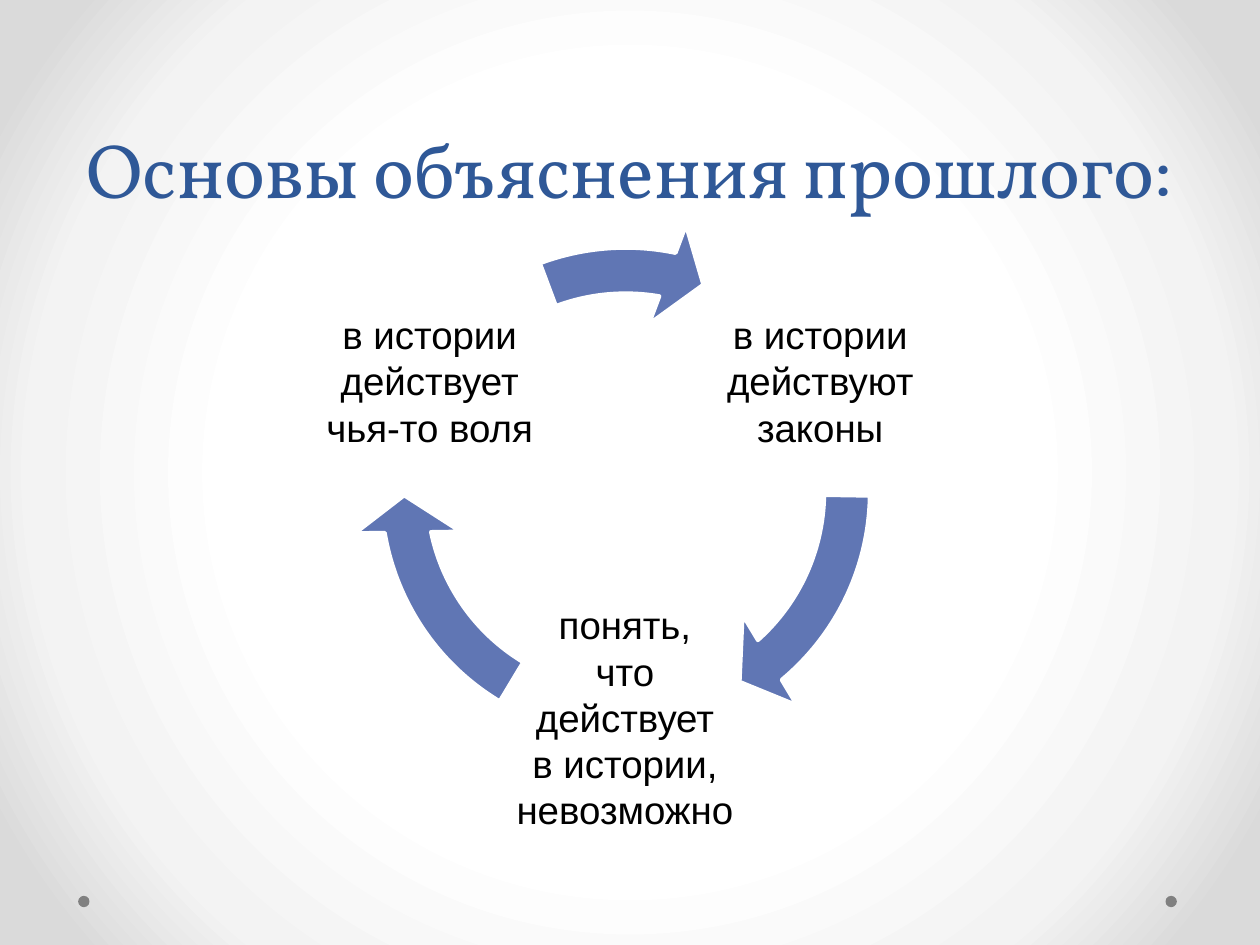
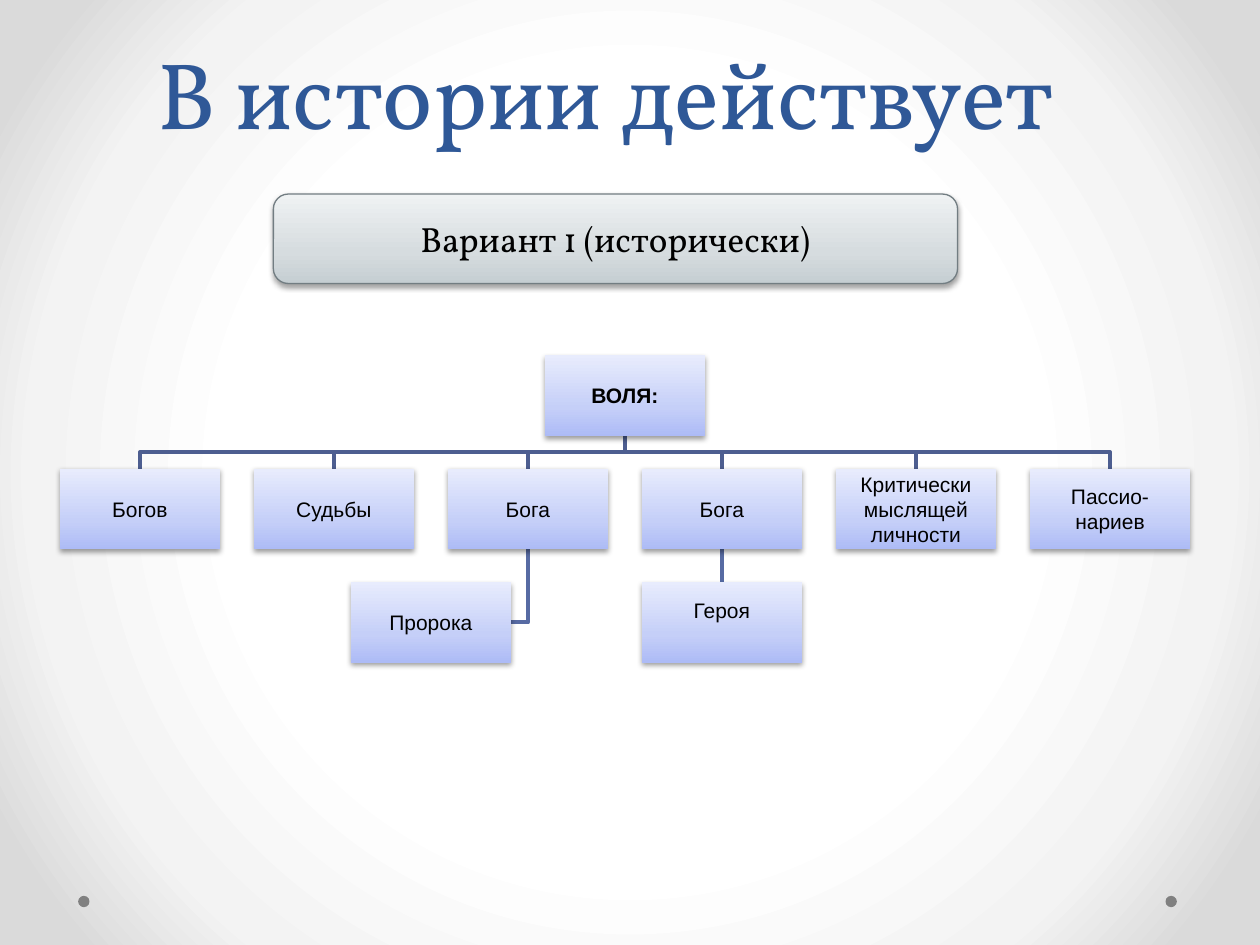
from pptx import Presentation
from pptx import util as u
from pptx.dml.color import RGBColor
from pptx.enum import shapes, text
from pptx.oxml import parse_xml
from pptx.oxml.ns import nsdecls, qn

COLORS = {
    "title": "2F5897", "text": "000000", "dot": "808080", "arrow": "6076B4",
    "white": "FFFFFF", "branch": "4D5E90", "twig": "576BA3", "banner_edge": "727D82",
}
BACKDROP = [(50, "FFFFFF"), (76, "F3F3F3"), (92, "DADADA")]
BOX_SHADES = [(0, "ADBBF6"), (35, "C5CFF8"), (100, "E8ECFD")]
BANNER_SHADES = [(0, "C5CED2"), (35, "D6DCDF"), (100, "EFF2F3")]
UPWARD = '<a:lin ang="16200000" scaled="0"/>'
FROM_CENTER = ('<a:path path="circle"><a:fillToRect l="50000" t="50000" '
               'r="50000" b="50000"/></a:path>')
SHADOW = (f'<a:effectLst {nsdecls("a")}><a:outerShdw blurRad="40000" dist="20000" '
          'dir="5400000" rotWithShape="0"><a:srgbClr val="000000">'
          '<a:alpha val="38000"/></a:srgbClr></a:outerShdw></a:effectLst>')


def set_gradient(properties, stops, direction):
    """Replace the empty fill of a properties element with a gradient."""
    stop_xml = "".join(f'<a:gs pos="{place * 1000}"><a:srgbClr val="{color}"/></a:gs>'
                       for place, color in stops)
    gradient = parse_xml(f'<a:gradFill {nsdecls("a")} rotWithShape="1">'
                         f'<a:gsLst>{stop_xml}</a:gsLst>{direction}</a:gradFill>')
    properties.replace(properties.find(qn("a:noFill")), gradient)


def write(shape, lines, size, font="Arial", color="text", inset=None, bold=False):
    """Fill a shape with centred lines, one paragraph each."""
    frame = shape.text_frame
    frame.word_wrap = True
    frame.vertical_anchor = text.MSO_ANCHOR.MIDDLE
    if inset is not None:
        frame.margin_left = frame.margin_right = u.Inches(inset)
        frame.margin_top = frame.margin_bottom = u.Inches(inset)
    frame.text = "\n".join(lines)
    for para in frame.paragraphs:
        para.alignment = text.PP_ALIGN.CENTER
        for span in para.runs:
            span.font.name = font
            span.font.size = u.Pt(size)
            span.font.bold = bold
            span.font.color.rgb = RGBColor.from_string(COLORS[color])


deck = Presentation()
deck.slide_width, deck.slide_height = u.Inches(10), u.Inches(7.5)

# Shared backdrop and layout
master = deck.slide_master
master.background.fill.background()
set_gradient(master.element.find(".//" + qn("p:bgPr")), BACKDROP, FROM_CENTER)
layout = deck.slide_layouts[5]
for holder in list(layout.placeholders)[1:]:
    holder.element.getparent().remove(holder.element)

# Titles
pages = []
for title, size, place in [
    ("Основы объяснения прошлого:", 44, (0.5, 0.21, 9, 1.54)),
    ("В истории действует", 54, (0.75, 0.17, 8.11, 1.06)),
]:
    page = deck.slides.add_slide(layout)
    heading = page.shapes.title
    heading.left, heading.top, heading.width, heading.height = map(u.Inches, place)
    write(heading, [title], size, "Vollkorn", "title")
    heading.text_frame.vertical_anchor = text.MSO_ANCHOR.BOTTOM
    heading.text_frame.auto_size = text.MSO_AUTO_SIZE.NONE
    heading.text_frame.paragraphs[0].line_spacing = u.Pt(58)
    pages.append(page)
cycle_page, tree_page = pages

# Corner dots, moved to the layout so that both slides show them
for left in (9.25, 0.62):
    dot = cycle_page.shapes.add_shape(shapes.MSO_SHAPE.OVAL, u.Inches(left), u.Inches(7.11),
                                      u.Inches(0.09), u.Inches(0.09))
    dot.shadow.inherit = False
    dot.fill.solid()
    dot.fill.fore_color.rgb = RGBColor.from_string(COLORS["dot"])
    dot.line.fill.background()
    dot.element.nvSpPr.cNvPr.set("id", str(10 + len(layout.shapes)))
    layout.shapes.element.append(dot.element)

# Slide 1: cycle of three explanations, each followed by an arrow (end, start)
for left, top, lines, end, start in [
    (5.59, 2.1, ["в истории", "действуют", "законы"], 29.62, 0.53),
    (4.04, 4.77, ["понять,", "что действует", "в истории,", "невозможно"], 101.7, 72.62),
    (2.49, 2.1, ["в истории", "действует", "чья-то воля"], 168.55, 149.69),
]:
    box = cycle_page.shapes.add_textbox(u.Inches(left), u.Inches(top),
                                        u.Inches(1.84), u.Inches(1.84))
    write(box, lines, 22, inset=0.03)
    arrow = cycle_page.shapes.add_shape(shapes.MSO_SHAPE.CIRCULAR_ARROW, u.Inches(2.79),
                                        u.Inches(1.73), u.Inches(4.35), u.Inches(4.35))
    for index, value in enumerate((0.083, 5.77, end, start, 0.096)):
        arrow.adjustments[index] = value
    arrow.shadow.inherit = False
    arrow.fill.solid()
    arrow.fill.fore_color.rgb = RGBColor.from_string(COLORS["arrow"])
    arrow.line.color.rgb = RGBColor.from_string(COLORS["white"])
    arrow.line.width = u.Pt(2.25)

# Slide 2: tree of wills
BOX_WIDTH, BOX_HEIGHT = 1.27, 0.64
ROOT_CENTER, ROOT_TOP, CHILD_TOP, LEAF_TOP = 4.96, 2.82, 3.72, 4.62
children = [["Богов"], ["Судьбы"], ["Бога"], ["Бога"],
            ["Критически", "мыслящей", "личности"], ["Пассио-", "нариев"]]
centers = [1.11 + 1.54 * index for index in range(len(children))]
prophet_center = (centers[1] + centers[2]) / 2

root_bottom = ROOT_TOP + BOX_HEIGHT
child_bottom = CHILD_TOP + BOX_HEIGHT
bus = (root_bottom + CHILD_TOP) / 2
prophet_middle = LEAF_TOP + BOX_HEIGHT / 2
routes = [("branch", [(ROOT_CENTER, root_bottom), (ROOT_CENTER, bus),
                      (center, bus), (center, CHILD_TOP)]) for center in centers]
routes.append(("twig", [(centers[2], child_bottom), (centers[2], prophet_middle),
                        (prophet_center + BOX_WIDTH / 2, prophet_middle)]))
for color, points in routes:
    corners = [(u.Inches(x), u.Inches(y)) for x, y in points]
    builder = tree_page.shapes.build_freeform(*corners[0])
    builder.add_line_segments(corners[1:], close=False)
    branch = builder.convert_to_shape()
    branch.shadow.inherit = False
    branch.fill.background()
    branch.line.color.rgb = RGBColor.from_string(COLORS[color])
    branch.line.width = u.Pt(2.25)

link = tree_page.shapes.add_connector(shapes.MSO_CONNECTOR.STRAIGHT,
                                      u.Inches(centers[3]), u.Inches(child_bottom),
                                      u.Inches(centers[3]), u.Inches(LEAF_TOP))
link.line.color.rgb = RGBColor.from_string(COLORS["twig"])
link.line.width = u.Pt(2.25)
link.element.spPr.append(parse_xml(f'<a:effectLst {nsdecls("a")}/>'))

nodes = [(ROOT_CENTER, ROOT_TOP, ["ВОЛЯ:"])]
nodes += [(center, CHILD_TOP, lines) for center, lines in zip(centers, children)]
nodes += [(prophet_center, LEAF_TOP, ["Пророка"]), (centers[3], LEAF_TOP, ["Героя"])]
boxes = []
for center, top, lines in nodes:
    box = tree_page.shapes.add_shape(shapes.MSO_SHAPE.RECTANGLE,
                                     u.Inches(center - BOX_WIDTH / 2), u.Inches(top),
                                     u.Inches(BOX_WIDTH), u.Inches(BOX_HEIGHT))
    box.fill.background()
    box.line.fill.background()
    set_gradient(box.element.spPr, BOX_SHADES, UPWARD)
    box.element.spPr.append(parse_xml(SHADOW))
    write(box, lines, 12, inset=0.01, bold=top == ROOT_TOP)
    boxes.append(box)
god, hero = boxes[4], boxes[-1]
hero.text_frame.margin_bottom = u.Inches(0.21)
link.begin_connect(god, 2)
link.end_connect(hero, 0)

banner = tree_page.shapes.add_shape(shapes.MSO_SHAPE.ROUNDED_RECTANGLE, u.Inches(2.17),
                                    u.Inches(1.54), u.Inches(5.43), u.Inches(0.71))
banner.fill.background()
set_gradient(banner.element.spPr, BANNER_SHADES, UPWARD)
banner.line.color.rgb = RGBColor.from_string(COLORS["banner_edge"])
banner.line.width = u.Pt(0.75)
banner.element.spPr.append(parse_xml(SHADOW))
write(banner, ["Вариант 1 (исторически)"], 20, "Vollkorn")

deck.save("out.pptx")
